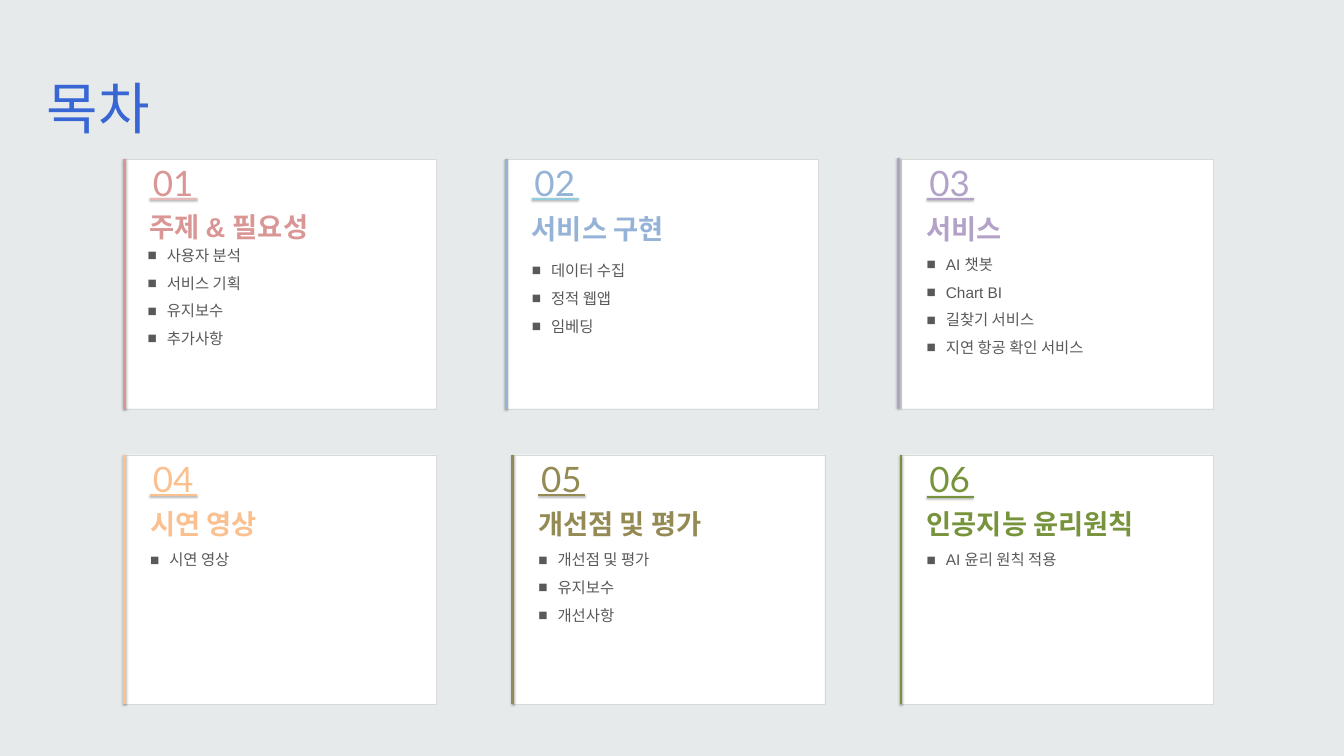
from dataclasses import dataclass

from lxml import etree
from pptx import Presentation
from pptx.dml.color import RGBColor
from pptx.enum.shapes import MSO_CONNECTOR, MSO_SHAPE
from pptx.enum.text import MSO_ANCHOR, PP_ALIGN
from pptx.oxml.ns import qn
from pptx.util import Inches, Pt

STRAIGHT = MSO_CONNECTOR.STRAIGHT
RECTANGLE = MSO_SHAPE.RECTANGLE
TOP, MIDDLE = MSO_ANCHOR.TOP, MSO_ANCHOR.MIDDLE
LEFT, CENTER = PP_ALIGN.LEFT, PP_ALIGN.CENTER

SLIDE_WIDTH, SLIDE_HEIGHT = 26.67, 15
GRID_LEFT, GRID_TOP = 2.47, 3.16
COLUMN_STEP, ROW_STEP, COLUMNS = 7.705, 5.86, 3
CARD_WIDTH, CARD_HEIGHT = 6.19, 4.95
PADDING = 0.51
BULLET_INDENT = 0.38


@dataclass
class Card:
    heading: str
    items: list
    color: str
    rule_color: str = ""
    shift: float = 0
    rule_top: float = 0.81
    heading_left: float = PADDING
    heading_top: float = 0.95
    list_left: float = PADDING
    list_top: float = 1.72
    bar_shift: tuple = (0, 0)


CARDS = [
    Card("주제 & 필요성", ["사용자 분석", "서비스 기획", "유지보수", "추가사항"],
         "D99694", "E6B9B8", rule_top=0.78, heading_left=0.49, heading_top=0.92,
         list_left=0.46, list_top=1.54),
    Card("서비스 구현", ["데이터 수집", "정적 웹앱", "임베딩"],
         "95B3D7", "93CDDD", shift=-0.13, rule_top=0.78, list_top=1.84),
    Card("서비스", ["AI 챗봇", "Chart BI", "길찾기 서비스", "지연 항공 확인 서비스"],
         "B3A2C7", rule_top=0.78, bar_shift=(-0.05, -0.03)),
    Card("시연 영상", ["시연 영상"], "FAC090"),
    Card("개선점 및 평가", ["개선점 및 평가", "유지보수", "개선사항"], "948A54"),
    Card("인공지능 윤리원칙", ["AI 윤리 원칙 적용"], "77933C", rule_top=0.84),
]


def rgb(value):
    return RGBColor.from_string(value)


def add_text(slide, bounds, lines, font, size, color, bold=False, anchor=MIDDLE,
             align=LEFT, spacing=1.16, inset=0, bullets=False):
    box = slide.shapes.add_textbox(*map(Inches, bounds))
    frame = box.text_frame
    frame.word_wrap = True
    frame.vertical_anchor = anchor
    frame.margin_left = frame.margin_right = Inches(inset)
    frame.margin_top = frame.margin_bottom = Inches(inset / 2)
    frame.text = "\n".join(lines)
    for para in frame.paragraphs:
        if bullets:
            add_bullet(para)
        para.alignment = align
        para.line_spacing = spacing
        for span in para.runs:
            span.font.name = font
            span.font.size = Pt(size)
            span.font.bold = bold
            span.font.color.rgb = rgb(color)


def add_bullet(para):
    properties = para._p.get_or_add_pPr()
    properties.set("marL", str(Inches(BULLET_INDENT)))
    properties.set("indent", str(-Inches(BULLET_INDENT)))
    etree.SubElement(properties, qn("a:buFont"), typeface="Arial")
    etree.SubElement(properties, qn("a:buChar"), char="■")


def add_shadowed_line(slide, left, top, width, height, color, weight):
    ends = (left, top, left + width, top + height)
    line = slide.shapes.add_connector(STRAIGHT, *map(Inches, ends))
    line.line.color.rgb = rgb(color)
    line.line.width = Pt(weight)
    effects = etree.SubElement(line._element.spPr, qn("a:effectLst"))
    shadow = etree.SubElement(effects, qn("a:outerShdw"), blurRad=str(Pt(3.1)),
                              dist=str(Pt(1.8)), dir="5400000", rotWithShape="0")
    black = etree.SubElement(shadow, qn("a:srgbClr"), val="000000")
    etree.SubElement(black, qn("a:alpha"), val="35000")


def add_card(slide, left, top, width, height, number, card):
    panel = slide.shapes.add_shape(RECTANGLE, *map(Inches, (left, top, width, height)))
    panel.shadow.inherit = False
    panel.fill.solid()
    panel.fill.fore_color.rgb = rgb("FFFFFF")
    panel.line.color.rgb = rgb("D9D9D9")
    panel.line.width = Pt(0.25)

    add_text(slide, (left, top, 1.93, 0.94), [f"{number:02}"], "Lato", 50, card.color,
             anchor=TOP, align=CENTER, spacing=1.0, inset=0.1)
    add_text(slide, (left + card.heading_left, top + card.heading_top, 4.72, 0.73),
             [card.heading], "Arial", 39, card.color, bold=True)
    add_text(slide, (left + card.list_left, top + card.list_top, 5.28, 3.28),
             card.items, "Arial", 22, "595959", anchor=TOP, spacing=1.5, bullets=True)

    shift_x, shift_y = card.bar_shift
    add_shadowed_line(slide, left + shift_x, top + shift_y, 0, height, card.color, 4)
    add_shadowed_line(slide, left + PADDING, top + card.rule_top, 0.93, 0,
                      card.rule_color or card.color, 3)


def add_contents(slide):
    add_text(slide, (0.93, 1.24, 7.79, 1.56), ["목차"], "Lato", 80, "3866D4")
    for index, card in enumerate(CARDS):
        row, column = divmod(index, COLUMNS)
        left = GRID_LEFT + column * COLUMN_STEP + card.shift
        top = GRID_TOP + row * ROW_STEP
        add_card(slide, left, top, CARD_WIDTH, CARD_HEIGHT, index + 1, card)


def main():
    deck = Presentation()
    deck.slide_width, deck.slide_height = Inches(SLIDE_WIDTH), Inches(SLIDE_HEIGHT)
    page = deck.slides.add_slide(deck.slide_layouts[6])
    page.background.fill.solid()
    page.background.fill.fore_color.rgb = rgb("E6EAEB")
    add_contents(page)
    deck.save("out.pptx")


if __name__ == "__main__":
    main()
